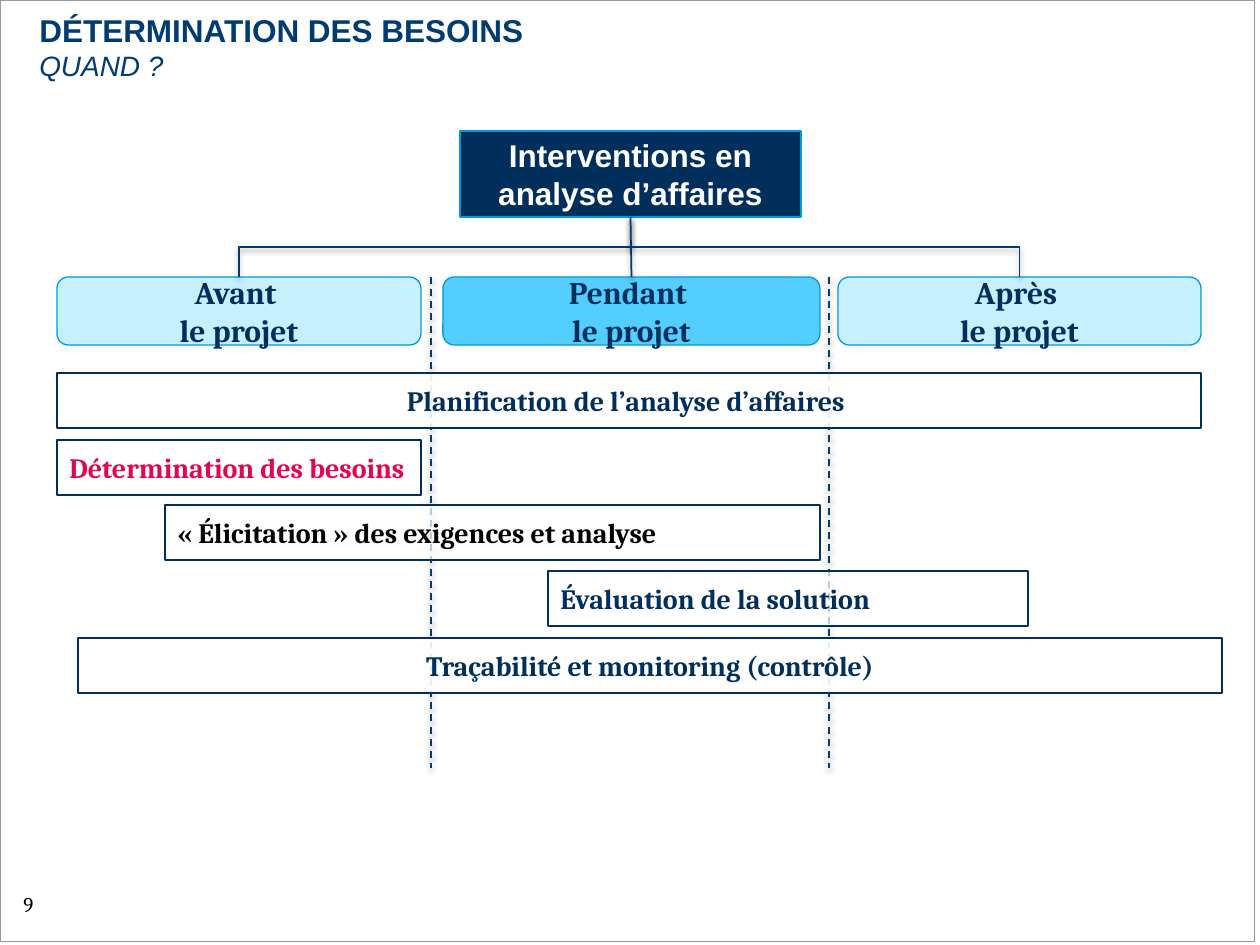
import pptx
import pptx.util
import pptx.dml.color
import pptx.enum.dml
import pptx.enum.shapes
import pptx.enum.text
import pptx.oxml
import pptx.oxml.ns

SCALE = 914400 / 126
NAVY, BLUE, SKY = "002F5C", "003C71", "009BDA"
KIND = pptx.enum.shapes.MSO_SHAPE
LINK = pptx.enum.shapes.MSO_CONNECTOR
ALIGN = pptx.enum.text.PP_ALIGN
ANCHOR = pptx.enum.text.MSO_ANCHOR
SHADOW = (
    '<a:effectLst %s><a:outerShdw blurRad="40000" dist="20000" dir="5400000"'
    ' rotWithShape="0"><a:srgbClr val="000000"><a:alpha val="38000"/>'
    '</a:srgbClr></a:outerShdw></a:effectLst>' % pptx.oxml.ns.nsdecls("a"))


def emu(px):
    return pptx.util.Emu(round(px * SCALE))


def color(code):
    return pptx.dml.color.RGBColor.from_string(code)


class Deck:
    def __init__(self):
        self.show = pptx.Presentation()
        self.show.slide_width = emu(1260)
        self.show.slide_height = emu(945)
        self.slide = self.show.slides.add_slide(self.show.slide_layouts[6])

    def style(self, run, size, code, face, bold=False, italic=False):
        font = run.font
        font.name, font.size = face, pptx.util.Pt(size)
        font.bold, font.italic = bold, italic
        font.color.rgb = color(code)

    def box(self, kind, area, line, width=0.75, fill=None, alpha=None):
        shape = self.slide.shapes.add_shape(kind, *map(emu, area))
        shape.shadow.inherit = False
        shape.line.color.rgb = color(line)
        shape.line.width = pptx.util.Pt(width)
        if fill is None:
            shape.fill.background()
            return shape
        shape.fill.solid()
        shape.fill.fore_color.rgb = color(fill)
        if alpha:
            tint = shape.fill._xPr.find(".//" + pptx.oxml.ns.qn("a:srgbClr"))
            tint.append(pptx.oxml.parse_xml(
                '<a:alpha %s val="%d"/>' % (pptx.oxml.ns.nsdecls("a"), alpha * 1000)))
        return shape

    def label(self, shape, text, size, code, face="Cambria", align=ALIGN.CENTER):
        frame = shape.text_frame
        frame.word_wrap = True
        frame.vertical_anchor = ANCHOR.MIDDLE
        frame.text = text
        for par in frame.paragraphs:
            par.alignment = align
            for run in par.runs:
                self.style(run, size, code, face, bold=True)

    def text(self, area, text, looks, pad=None):
        frame = self.slide.shapes.add_textbox(*map(emu, area)).text_frame
        frame.word_wrap = True
        if pad is not None:
            frame.margin_top = frame.margin_bottom = emu(pad)
        frame.text = text
        for run, look in zip(frame.paragraphs[0].runs, looks):
            self.style(run, *look)

    def line(self, kind, ends=(0, 0, 0, 0), dash=False):
        link = self.slide.shapes.add_connector(kind, *map(emu, ends))
        link.line.color.rgb = color(BLUE)
        link.line.width = pptx.util.Pt(1)
        if dash:
            link.line.dash_style = pptx.enum.dml.MSO_LINE.DASH
        link._element.spPr.append(pptx.oxml.parse_xml(SHADOW))
        return link

    def join(self, top, card, kind):
        link = self.line(kind)
        link.begin_connect(top, 2)
        link.end_connect(card, 0)
        if kind == LINK.ELBOW:
            self.turn(link)

    def turn(self, link):
        """Stand an elbow upright: it leaves downwards and arrives downwards."""
        left = link.end_x < link.begin_x
        mid_x = (link.begin_x + link.end_x) // 2
        mid_y = (link.begin_y + link.end_y) // 2
        wide, high = link.height, link.width
        link.left, link.top = mid_x - wide // 2, mid_y - high // 2
        link.width, link.height = wide, high
        xfrm = link._element.spPr.find(pptx.oxml.ns.qn("a:xfrm"))
        xfrm.set("rot", "5400000" if left else "16200000")
        xfrm.set("flipH", "0" if left else "1")


def main():
    deck = Deck()

    # Frame and page number
    deck.box(KIND.RECTANGLE, (0, 0, 1255, 942), "97999B", 0.5)
    deck.text((11, 885, 123, 44), "9", [(12, "000000", "Cambria")])

    # Root and phases
    root = deck.box(KIND.RECTANGLE, (460, 131, 341, 86), SKY, fill=NAVY)
    deck.label(root, "Interventions en analyse d’affaires", 18, "FFFFFF", "Arial")
    phases = [
        ("Avant ", 57, 364, "C6EFFF", LINK.ELBOW),
        ("Pendant ", 443, 377, "53CEFF", LINK.STRAIGHT),
        ("Après ", 838, 363, "C6EFFF", LINK.ELBOW),
    ]
    cards = []
    for name, left, width, fill, kind in phases:
        card = deck.box(KIND.ROUNDED_RECTANGLE, (left, 277, width, 68), SKY, fill=fill)
        deck.label(card, name + "\nle projet", 18, NAVY)
        cards.append((card, kind))

    # Links and phase limits
    for card, kind in cards:
        deck.join(root, card, kind)
    for x in (431, 829):
        deck.line(LINK.STRAIGHT, (x, 277, x, 768), dash=True)

    # Activities
    bars = [
        ("Détermination des besoins", 57, 440, 364, "E00654", False),
        ("Planification de l’analyse d’affaires ", 57, 373, 1144, NAVY, True),
        ("« Élicitation » des exigences et analyse", 165, 505, 655, "000000", False),
        ("Évaluation de la solution", 548, 571, 480, NAVY, False),
        ("Traçabilité et monitoring (contrôle)", 78, 638, 1144, NAVY, True),
    ]
    for name, left, top, width, code, whole in bars:
        bar = deck.box(KIND.RECTANGLE, (left, top, width, 55), NAVY,
                       fill="FFFFFF", alpha=91 if whole else 73)
        deck.label(bar, name, 16, code, align=ALIGN.CENTER if whole else ALIGN.LEFT)

    # Title
    deck.text((27, 11, 1124, 84), "DÉTERMINATION DES BESOINS\vQUAND ?",
              [(18, BLUE, "Arial", True), (16, BLUE, "Arial", False, True)], pad=0)

    deck.show.save("out.pptx")


if __name__ == "__main__":
    main()
